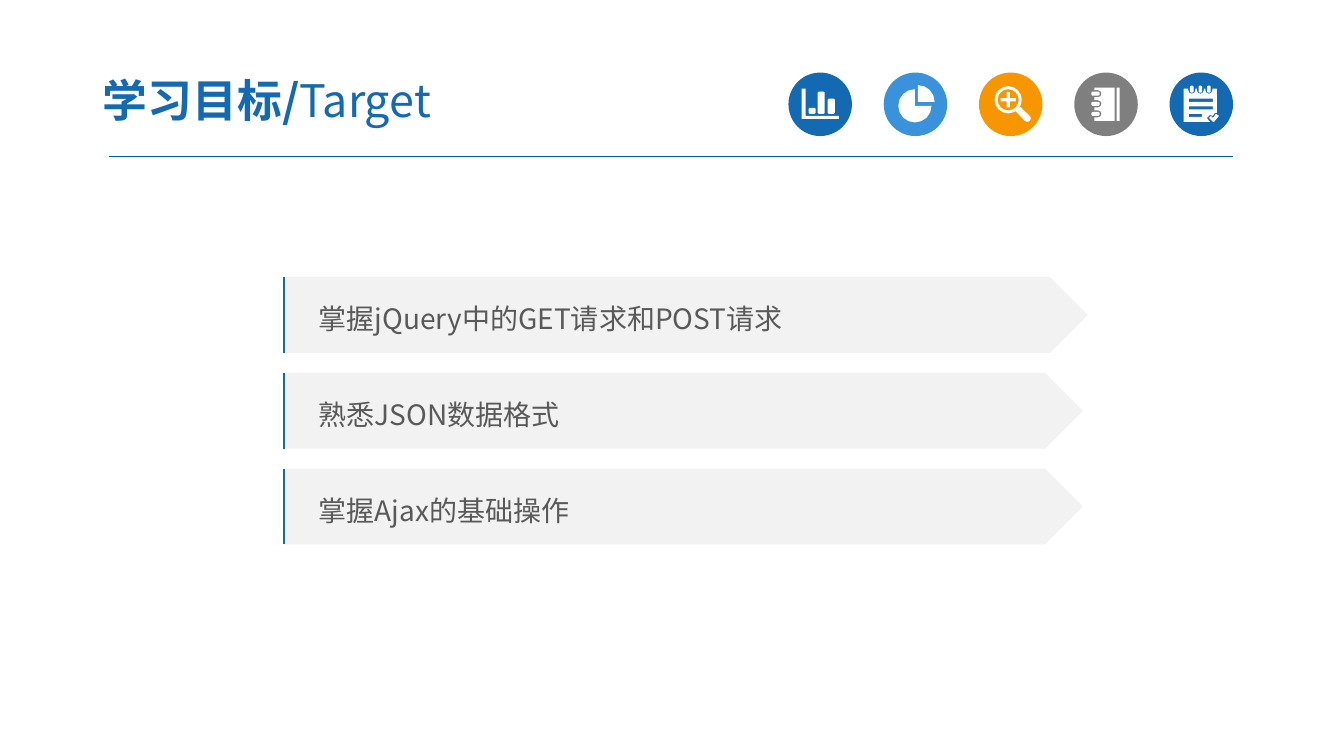
"""Build the learning-targets slide with its icon row and three goal banners."""
from dataclasses import dataclass
from math import cos, radians, sin

from lxml.etree import SubElement
from pptx import Presentation
from pptx.dml.color import RGBColor
from pptx.enum.shapes import MSO_CONNECTOR as Connector, MSO_SHAPE as Shape
from pptx.enum.text import MSO_ANCHOR as Anchor, PP_ALIGN as Align
from pptx.oxml.ns import qn
from pptx.util import Inches, Pt


@dataclass(frozen=True)
class Theme:
    """Colours, font and type sizes of the slide."""
    blue: str = "1369B2"
    sky: str = "3992DB"
    orange: str = "F79600"
    gray: str = "7F7F7F"
    white: str = "FFFFFF"
    rule: str = "005B9E"
    banner: str = "F2F2F2"
    body: str = "595959"
    font: str = "Noto Sans CJK SC"
    title_size: int = 32
    body_size: int = 20


THEME = Theme()
DISC_LEFT, DISC_TOP, DISC_SIZE, DISC_STEP = 7.82, 0.72, 0.63, 0.945
BANNER_LEFT, BANNER_TOP, BANNER_HEIGHT, BANNER_STEP = 2.81, 2.75, 0.75, 0.95
GOALS = [
    ("掌握jQuery中的GET请求和POST请求", 7.98),
    ("熟悉JSON数据格式", 7.93),
    ("掌握Ajax的基础操作", 7.93),
]


def arc(x, y, radius, start, end):
    """Return points along an arc, in degrees clockwise from the right."""
    steps = abs(end - start) // (22 if radius > 0.1 else 45)
    angles = [radians(start + (end - start) * i / steps) for i in range(steps + 1)]
    return [(x + radius * cos(a), y + radius * sin(a)) for a in angles]


def block(left, top, width, height):
    """Return the outline of a rectangle."""
    right, bottom = left + width, top + height
    return [(left, top), (right, top), (right, bottom), (left, bottom)]


def chamfered(left, top, width, height, cut):
    """Return the outline of a rectangle with its corners cut."""
    right, bottom = left + width, top + height
    return [(left + cut, top), (right - cut, top), (right, top + cut), (right, bottom - cut),
            (right - cut, bottom), (left + cut, bottom), (left, bottom - cut), (left, top + cut)]


def bars_glyph():
    """Return the outlines of the bar chart glyph."""
    axes = [(0.13, 0.16), (0.17, 0.16), (0.17, 0.43), (0.5, 0.43), (0.5, 0.46), (0.13, 0.46)]
    bars = [(0.2, 0.35), (0.29, 0.19), (0.39, 0.26)]
    return [axes] + [chamfered(x, y, 0.07, 0.41 - y, 0.01) for x, y in bars]


def pie_glyph():
    """Return the outlines of the pie chart glyph."""
    return [[(0.31, 0.33)] + arc(0.31, 0.33, 0.165, 0, 270),
            [(0.34, 0.29)] + arc(0.34, 0.29, 0.165, 270, 360)]


def lens_glyph():
    """Return the outlines of the magnifier glyph."""
    x, y, arm, half = 0.29, 0.27, 0.075, 0.016
    plus = [(x - half, y - arm), (x + half, y - arm), (x + half, y - half),
            (x + arm, y - half), (x + arm, y + half), (x + half, y + half),
            (x + half, y + arm), (x - half, y + arm), (x - half, y + half),
            (x - arm, y + half), (x - arm, y - half), (x - half, y - half)]
    handle = arc(0.48, 0.455, 0.035, -45, 135) + [(0.36, 0.38), (0.385, 0.365), (0.41, 0.34)]
    return [arc(x, y, 0.135, 0, 360), arc(x, y, 0.105, 360, 0), plus, handle]


def notebook_glyph():
    """Return the outlines of the notebook glyph."""
    rings = [0.21, 0.31, 0.41]
    cover = [(0.2, 0.15), (0.4, 0.15), (0.4, 0.48), (0.2, 0.48)]
    for y in reversed(rings):
        cover += [(0.2, y + 0.035)] + arc(0.235, y, 0.035, 90, -90) + [(0.2, y - 0.035)]
    return [cover, block(0.42, 0.15, 0.03, 0.33)] + [
        chamfered(0.17, y - 0.02, 0.08, 0.04, 0.01) for y in rings]


def notepad_glyph():
    """Return the outlines of the notepad glyph."""
    rings = [0.22, 0.305, 0.39]
    sheet = [(0.14, 0.16)]
    for x in rings:
        sheet += [(x - 0.035, 0.16)] + arc(x, 0.175, 0.035, 180, 0) + [(x + 0.035, 0.16)]
    sheet += [(0.47, 0.16), (0.47, 0.4), (0.45, 0.4), (0.43, 0.43), (0.4, 0.42),
              (0.37, 0.45), (0.4, 0.49), (0.14, 0.49)]
    check = [(0.39, 0.45), (0.41, 0.43), (0.43, 0.45), (0.46, 0.41), (0.49, 0.43),
             (0.44, 0.49), (0.43, 0.49)]
    lines = [(0.26, 0.24), (0.335, 0.24), (0.41, 0.13)]
    return ([sheet, check]
            + [block(0.19, y, width, 0.03) for y, width in lines]
            + [chamfered(x - 0.018, 0.13, 0.036, 0.07, 0.01) for x in rings])


def paint(shape, color):
    """Fill a shape with a plain colour and drop its line and shadow."""
    shape.shadow.inherit = False
    shape.fill.solid()
    shape.fill.fore_color.rgb = RGBColor.from_string(color)
    shape.line.fill.background()


def style(span, size, color, bold=False):
    """Format a run with the theme font."""
    font = span.font
    font.size, font.bold, font.name = Pt(size), bold, THEME.font
    font.color.rgb = RGBColor.from_string(color)
    SubElement(font._element, qn("a:ea")).set("typeface", THEME.font)


def add_line(page, start, end, color, width):
    """Draw a straight line between two points given in inches."""
    line = page.shapes.add_connector(Connector.STRAIGHT, *map(Inches, start + end))
    line.line.color.rgb = RGBColor.from_string(color)
    line.line.width = Pt(width)
    SubElement(line._element.spPr, qn("a:effectLst"))


def add_icon(page, left, color, outlines):
    """Draw a coloured disc with a white glyph on it."""
    disc = page.shapes.add_shape(Shape.OVAL, Inches(left), Inches(DISC_TOP),
                                 Inches(DISC_SIZE), Inches(DISC_SIZE))
    paint(disc, color)
    builder = None
    for outline in outlines:
        points = [(Inches(left + x), Inches(DISC_TOP + y)) for x, y in outline]
        if builder is None:
            builder = page.shapes.build_freeform(*points[0])
        else:
            builder.move_to(*points[0])
        builder.add_line_segments(points[1:], close=True)
    paint(builder.convert_to_shape(), THEME.white)


def add_title(page, strong, light):
    """Place the title with a bold part and a light part."""
    title = page.shapes.title
    title.left, title.top, title.width, title.height = map(Inches, (0.89, 0.63, 5.22, 0.72))
    box = title.text_frame
    box.word_wrap, box.vertical_anchor = True, Anchor.MIDDLE
    box.margin_left = box.margin_right = Inches(0.13)
    box.margin_top = box.margin_bottom = Inches(0.07)
    para = box.paragraphs[0]
    para.alignment = Align.LEFT
    for text, bold in ((strong, True), (light, False)):
        span = para.add_run()
        span.text = text
        style(span, THEME.title_size, THEME.blue, bold)


def add_goal(page, top, text, width):
    """Draw a goal banner with a blue bar on its left edge."""
    banner = page.shapes.add_shape(Shape.PENTAGON, Inches(BANNER_LEFT), Inches(top),
                                   Inches(width), Inches(BANNER_HEIGHT))
    paint(banner, THEME.banner)
    box = banner.text_frame
    box.word_wrap, box.vertical_anchor = True, Anchor.MIDDLE
    box.margin_left = Inches(0.35)
    box.text = text
    para = box.paragraphs[0]
    para.alignment, para.line_spacing = Align.LEFT, 1.2
    style(para.runs[0], THEME.body_size, THEME.body)
    edge = BANNER_LEFT + 0.01
    add_line(page, (edge, top), (edge, top + BANNER_HEIGHT), THEME.blue, 1.5)


def main():
    """Assemble and save the slide."""
    deck = Presentation()
    deck.slide_width, deck.slide_height = Inches(13.33), Inches(7.5)
    page = deck.slides.add_slide(deck.slide_layouts[5])
    add_line(page, (1.08, 1.55), (12.23, 1.55), THEME.rule, 0.75)
    icons = [(THEME.blue, bars_glyph()), (THEME.sky, pie_glyph()), (THEME.orange, lens_glyph()),
             (THEME.gray, notebook_glyph()), (THEME.blue, notepad_glyph())]
    for index, (color, outlines) in enumerate(icons):
        add_icon(page, DISC_LEFT + index * DISC_STEP, color, outlines)
    add_title(page, "学习目标/", "Target")
    for index, (text, width) in enumerate(GOALS):
        add_goal(page, BANNER_TOP + index * BANNER_STEP, text, width)
    deck.save("out.pptx")


if __name__ == "__main__":
    main()
